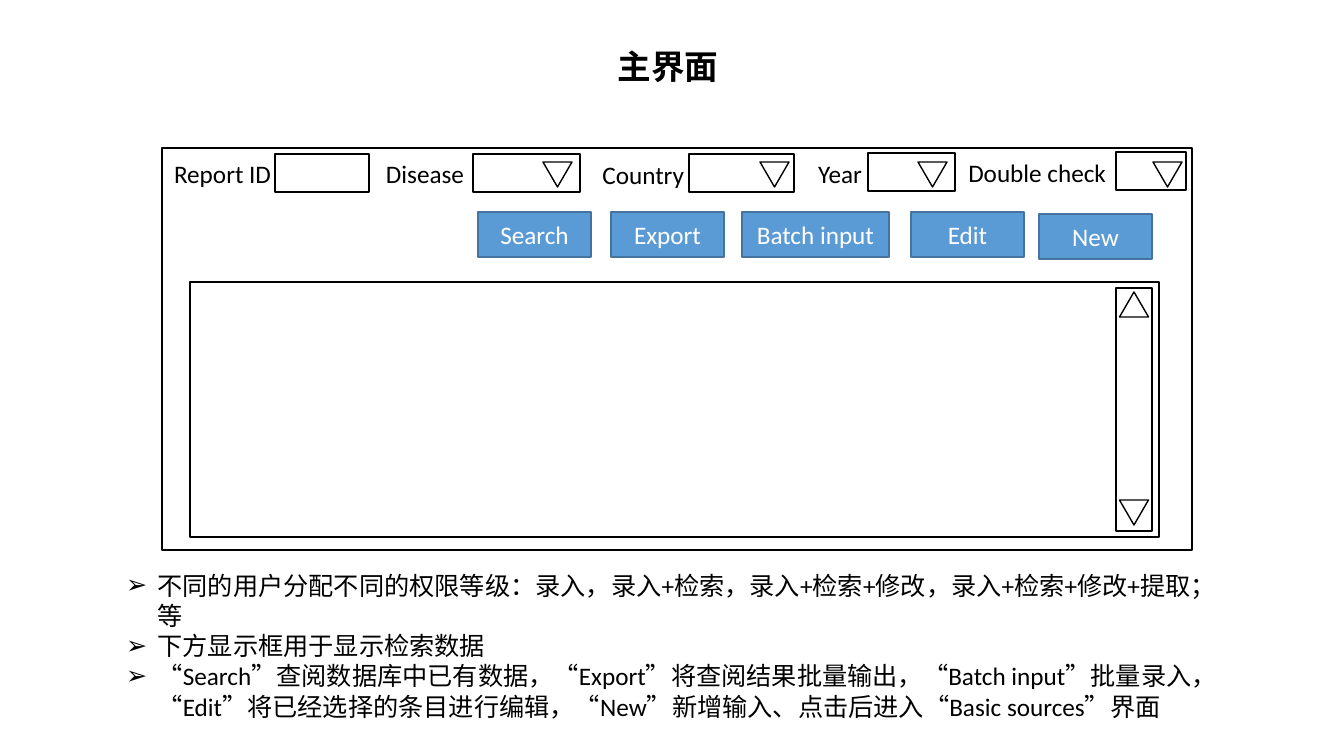
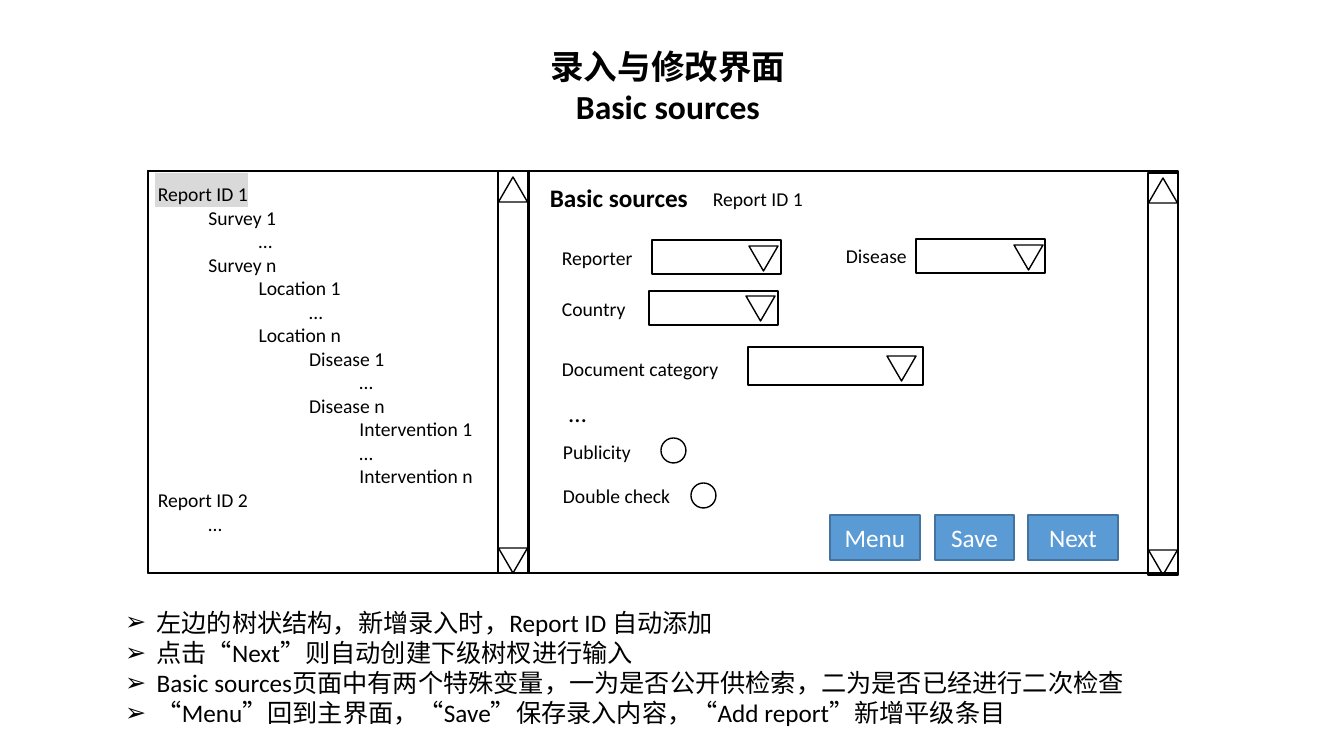
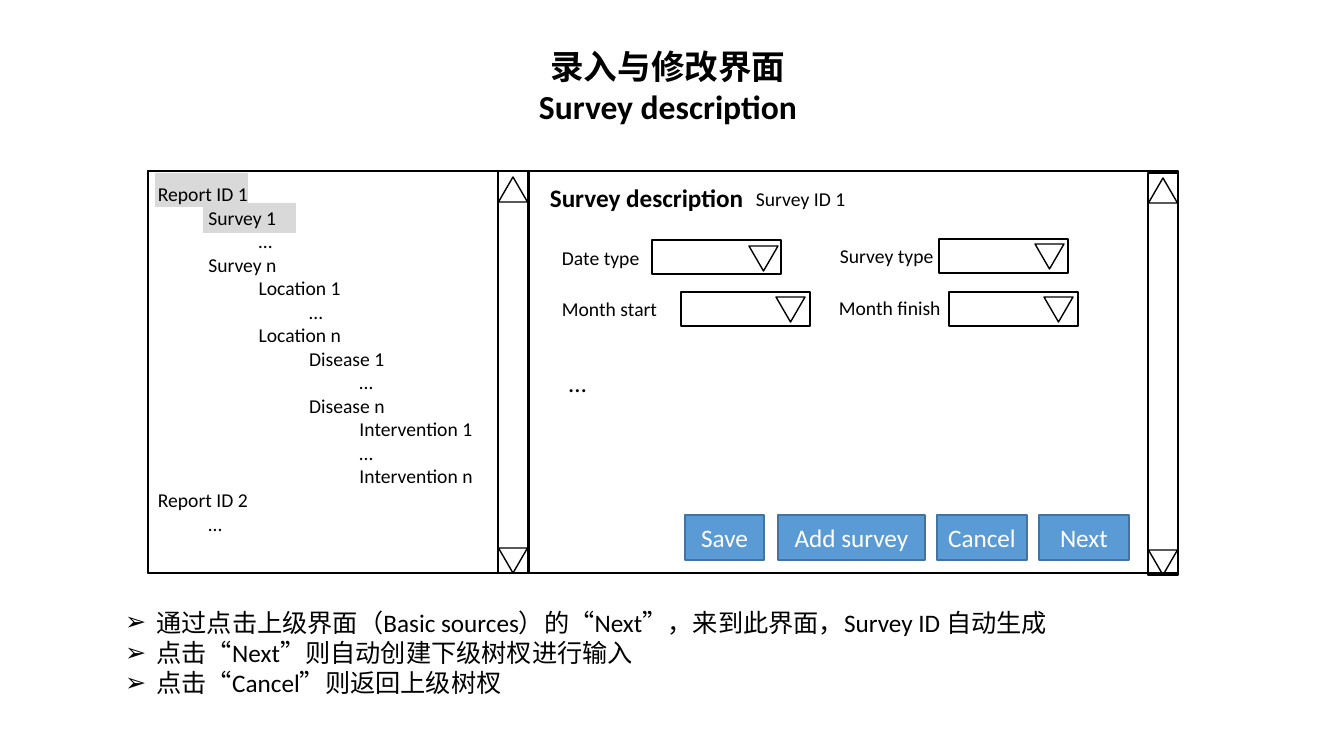
from dataclasses import dataclass
from lxml import etree
from pptx import Presentation
from pptx.dml.color import RGBColor
from pptx.enum.lang import MSO_LANGUAGE_ID
from pptx.enum.shapes import MSO_SHAPE
from pptx.enum.text import MSO_ANCHOR, MSO_AUTO_SIZE, PP_ALIGN
from pptx.oxml.ns import qn
from pptx.util import Emu, Pt

RECT, TRIANGLE, OVAL = MSO_SHAPE.RECTANGLE, MSO_SHAPE.ISOSCELES_TRIANGLE, MSO_SHAPE.OVAL
LEFT, CENTER, RIGHT = PP_ALIGN.LEFT, PP_ALIGN.CENTER, PP_ALIGN.RIGHT
TOP, MIDDLE = MSO_ANCHOR.TOP, MSO_ANCHOR.MIDDLE
NO_AUTOFIT = MSO_AUTO_SIZE.NONE
CHINESE = MSO_LANGUAGE_ID.SIMPLIFIED_CHINESE
EMU_PER_PX = 914400 / 100.8


@dataclass(frozen=True)
class Theme:
    font: str = "Calibri"
    ink: str = "000000"
    button: str = "5B9BD5"
    button_edge: str = "43739E"
    button_text: str = "FFFFFF"
    highlight: str = "D9D9D9"
    title: int = 24
    body: int = 18
    small: int = 14
    stroke: int = 1


@dataclass(frozen=True)
class Field:
    label: str
    label_x: int
    label_y: int
    x: int
    y: int
    width: int
    height: int
    arrow: tuple = None


THEME = Theme()
ARROW_W, ARROW_H = 29, 25
LABEL_W = 200
BUTTON_H = 45
TREE_INDENT = 50.4
NOTE_INDENT = 31.5


def px(length):
    return Emu(round(length * EMU_PER_PX))


def inside(box, x, y, width, height):
    return box[0] + x, box[1] + y, width, height


def write(paragraph, text, size, color=THEME.ink, bold=False, align=LEFT):
    paragraph.alignment = align
    run = paragraph.add_run()
    run.text = text
    font = run.font
    font.name, font.size, font.bold = THEME.font, Pt(size), bold
    font.color.rgb = RGBColor.from_string(color)
    font.language_id = CHINESE


def paragraphs(frame, count):
    yield frame.paragraphs[0]
    for _ in range(count - 1):
        yield frame.add_paragraph()


def indent(paragraph, margin, first=0):
    properties = paragraph._p.get_or_add_pPr()
    properties.set("marL", str(px(margin)))
    properties.set("indent", str(px(first)))
    return properties


def add_shape(slide, kind, box, fill=None, line=THEME.ink):
    shape = slide.shapes.add_shape(kind, *map(px, box))
    shape.shadow.inherit = False
    if fill:
        shape.fill.solid()
        shape.fill.fore_color.rgb = RGBColor.from_string(fill)
    else:
        shape.fill.background()
    if line:
        shape.line.color.rgb = RGBColor.from_string(line)
        shape.line.width = Pt(THEME.stroke)
    else:
        shape.line.fill.background()
    return shape


def add_arrow(slide, x, y, down=True):
    arrow = add_shape(slide, TRIANGLE, (x, y, ARROW_W, ARROW_H))
    arrow.rotation = 180 if down else 0


def add_label(slide, box, text, size, bold=False, align=LEFT):
    frame = slide.shapes.add_textbox(*map(px, box)).text_frame
    frame.word_wrap = True
    write(frame.paragraphs[0], text, size, bold=bold, align=align)


def add_buttons(slide, box, buttons):
    for text, x, y, width in buttons:
        button = add_shape(slide, RECT, inside(box, x, y, width, BUTTON_H),
                           THEME.button, THEME.button_edge)
        frame = button.text_frame
        frame.margin_left = frame.margin_right = 0
        frame.vertical_anchor = MIDDLE
        write(frame.paragraphs[0], text, THEME.body, THEME.button_text, align=CENTER)


def add_fields(slide, box, fields, size, align=LEFT):
    for field in fields:
        left = field.label_x - (LABEL_W if align == RIGHT else 0)
        add_label(slide, inside(box, left, field.label_y, LABEL_W, 40),
                  field.label, size, align=align)
        add_shape(slide, RECT, inside(box, field.x, field.y, field.width, field.height))
        if field.arrow:
            add_arrow(slide, box[0] + field.arrow[0], box[1] + field.arrow[1])


def add_scrollbar(slide, box, top_gap, bottom_gap):
    x, y, width, height = box
    add_shape(slide, RECT, box)
    arrow_x = x + (width - ARROW_W) / 2
    add_arrow(slide, arrow_x, y + top_gap, down=False)
    add_arrow(slide, arrow_x, y + height - bottom_gap - ARROW_H)


def place(placeholder, box):
    placeholder.left, placeholder.top, placeholder.width, placeholder.height = map(px, box)
    frame = placeholder.text_frame
    frame.word_wrap = True
    frame.auto_size = NO_AUTOFIT
    frame.vertical_anchor = TOP
    return frame


def add_page(deck, title_lines, notes, notes_box):
    slide = deck.slides.add_slide(deck.slide_layouts[1])
    title = place(slide.shapes.title, (400, 41, 536, 8 + 42 * len(title_lines)))
    for paragraph, text in zip(paragraphs(title, len(title_lines)), title_lines):
        write(paragraph, text, THEME.title, bold=True, align=CENTER)
    body = place(slide.placeholders[1], notes_box)
    for paragraph, text in zip(paragraphs(body, len(notes)), notes):
        write(paragraph, text, THEME.body)
        paragraph.space_before = Pt(0)
        properties = indent(paragraph, NOTE_INDENT, -NOTE_INDENT)
        etree.SubElement(properties, qn("a:buFont")).set("typeface", "Arial")
        etree.SubElement(properties, qn("a:buChar")).set("char", "➢")
    return slide


def add_search_window(slide, box):
    add_shape(slide, RECT, box)
    add_fields(slide, box, SEARCH_FIELDS, THEME.body, RIGHT)
    add_buttons(slide, box, SEARCH_BUTTONS)
    add_shape(slide, RECT, inside(box, 28, 134, 969, 255))
    add_scrollbar(slide, inside(box, 954, 140, 36, 243), 4, 6)


def add_tree(slide, box, highlights):
    for highlight in highlights:
        add_shape(slide, RECT, inside(box, *highlight), THEME.highlight, None)
    frame = slide.shapes.add_textbox(*map(px, inside(box, 0, 6, 339, 390))).text_frame
    frame.word_wrap = True
    for paragraph, (level, text) in zip(paragraphs(frame, len(TREE)), TREE):
        write(paragraph, text, THEME.small)
        paragraph.level = level
        indent(paragraph, level * TREE_INDENT)
    add_shape(slide, RECT, box)
    add_scrollbar(slide, inside(box, 350, 0, 30, box[3]), 6, 0)


def add_editor(slide, box, highlights, heading, record, record_x, fields, ellipsis_y,
               checks, buttons):
    add_shape(slide, RECT, box)
    add_tree(slide, inside(box, 0, 0, 381, box[3]), highlights)
    add_label(slide, inside(box, 392, 6, 240, 40), heading, THEME.body, bold=True)
    add_label(slide, inside(box, record_x, 11, 133, 34), record, THEME.small)
    add_fields(slide, box, fields, THEME.small)
    add_label(slide, inside(box, 411, ellipsis_y, 40, 40), "…", THEME.body)
    for text, label_y, x, y in checks:
        add_label(slide, inside(box, 405, label_y, 140, 34), text, THEME.small)
        add_shape(slide, OVAL, inside(box, x, y, 25, 25))
    add_buttons(slide, box, [(text, x, 344, width) for text, x, width in buttons])
    add_scrollbar(slide, inside(box, 1000, 2, 30, box[3]), 5, 0)


SEARCH_FIELDS = [
    Field("Report ID", 119, 5, 113, 6, 94, 38),
    Field("Disease", 312, 5, 311, 6, 107, 38, (381, 14)),
    Field("Country", 532, 6, 527, 6, 105, 38, (598, 14)),
    Field("Year", 710, 5, 706, 5, 87, 38, (756, 14)),
    Field("Double check", 954, 4, 954, 4, 70, 38, (991, 14)),
]
SEARCH_BUTTONS = [
    ("Search", 316, 64, 113), ("Export", 449, 64, 113), ("Batch input", 580, 64, 147),
    ("Edit", 749, 64, 113), ("New", 877, 66, 113),
]
TREE = [
    (0, "Report ID 1"), (1, "Survey 1"), (2, "…"), (1, "Survey n"),
    (2, "Location 1"), (3, "…"), (2, "Location n"),
    (3, "Disease 1"), (4, "…"), (3, "Disease n"),
    (4, "Intervention 1"), (4, "…"), (4, "Intervention n"),
    (0, "Report ID 2"), (1, "…"),
]
SOURCE_FIELDS = [
    Field("Reporter", 404, 70, 504, 69, 129, 34, (601, 75)),
    Field("Disease", 688, 68, 768, 68, 129, 34, (866, 74)),
    Field("Country", 404, 121, 501, 120, 129, 34, (598, 125)),
    Field("Document category", 404, 181, 600, 176, 175, 38, (739, 185)),
]
SURVEY_FIELDS = [
    Field("Date type", 404, 70, 504, 69, 129, 34, (601, 75)),
    Field("Survey type", 682, 68, 791, 68, 129, 34, (887, 73)),
    Field("Month start", 404, 121, 533, 121, 129, 34, (628, 126)),
    Field("Month finish", 681, 120, 801, 121, 129, 34, (896, 126)),
]
CHECKS = [("Publicity", 264, 513, 267), ("Double check", 308, 543, 312)]
SOURCE_BUTTONS = [("Menu", 682, 90), ("Save", 787, 79), ("Next", 880, 90)]
SURVEY_BUTTONS = [("Save", 537, 79), ("Add survey", 630, 147), ("Cancel", 789, 90),
                  ("Next", 891, 90)]
REPORT_HIGHLIGHT = (7, 2, 93, 34)
SURVEY_HIGHLIGHT = (55, 32, 93, 30)
EDITOR_BOX = (148, 171, 1030, 402)
EDITOR_TITLE = "录入与修改界面"
NEXT_NOTE = "点击“Next”则自动创建下级树杈进行输入"

deck = Presentation()
deck.slide_width, deck.slide_height = px(1344), px(756)

main_page = add_page(deck, ["主界面"], [
    "不同的用户分配不同的权限等级：录入，录入+检索，录入+检索+修改，录入+检索+修改+提取；等",
    "下方显示框用于显示检索数据",
    "“Search”查阅数据库中已有数据，“Export”将查阅结果批量输出，“Batch input”批量录入，"
    "“Edit”将已经选择的条目进行编辑，“New”新增输入、点击后进入“Basic sources”界面",
], (116, 565, 1114, 163))
add_search_window(main_page, (162, 148, 1030, 402))

source_page = add_page(deck, [EDITOR_TITLE, "Basic sources"], [
    "左边的树状结构，新增录入时，Report ID 自动添加",
    NEXT_NOTE,
    "Basic sources页面中有两个特殊变量，一为是否公开供检索，二为是否已经进行二次检查",
    "“Menu”回到主界面，“Save”保存录入内容，“Add report”新增平级条目",
], (115, 602, 1098, 154))
add_editor(source_page, EDITOR_BOX, [REPORT_HIGHLIGHT], "Basic sources", "Report ID 1", 555,
           SOURCE_FIELDS, 221, CHECKS, SOURCE_BUTTONS)

survey_page = add_page(deck, [EDITOR_TITLE, "Survey description"], [
    "通过点击上级界面（Basic sources）的“Next”，来到此界面，Survey ID 自动生成",
    NEXT_NOTE,
    "点击“Cancel”则返回上级树杈",
], (115, 602, 1098, 102))
add_editor(survey_page, EDITOR_BOX, [REPORT_HIGHLIGHT, SURVEY_HIGHLIGHT],
           "Survey description", "Survey ID 1", 598, SURVEY_FIELDS, 191, [], SURVEY_BUTTONS)

deck.save("out.pptx")
